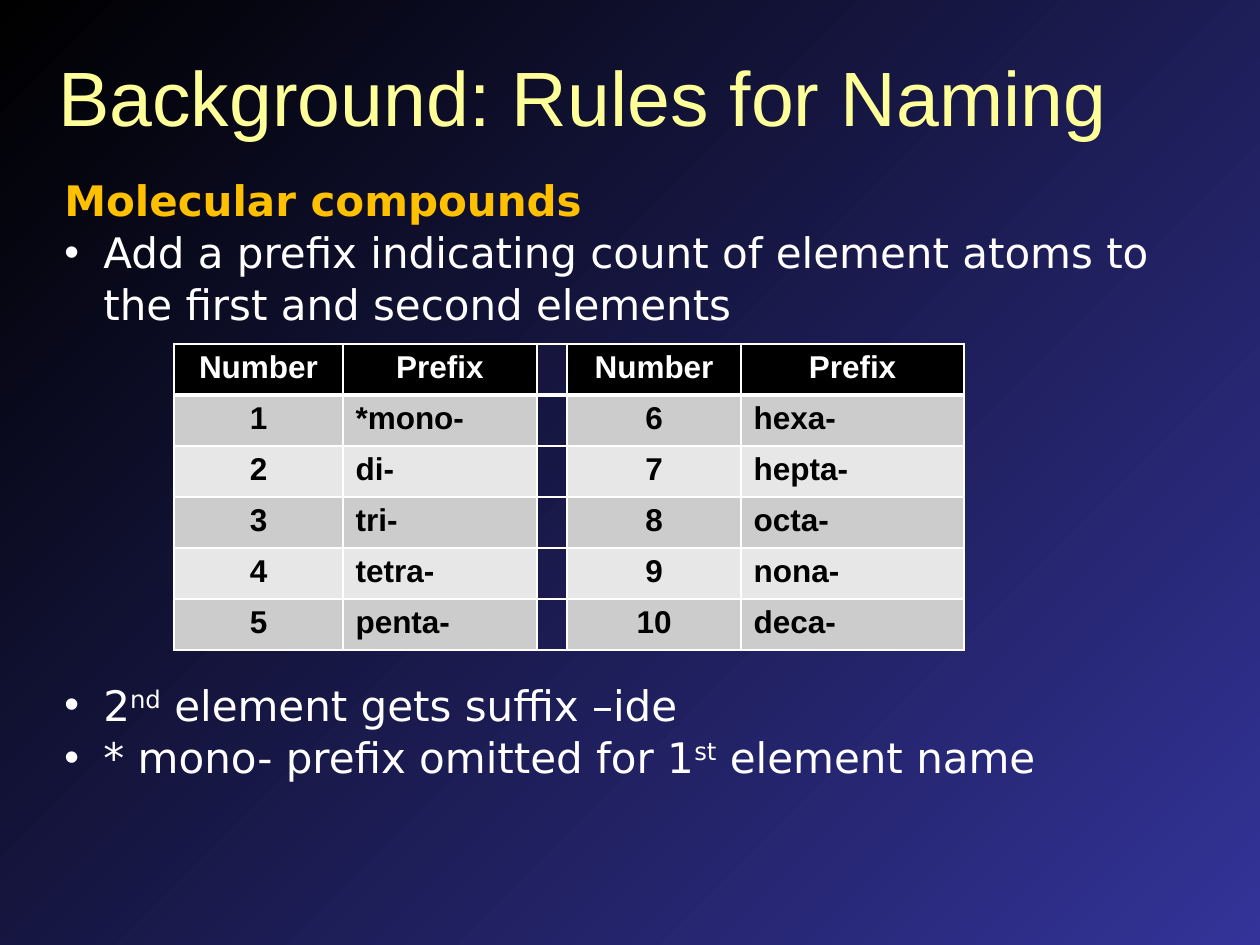
from lxml.etree import SubElement
from pptx import Presentation
from pptx.dml.color import RGBColor
from pptx.enum.text import MSO_ANCHOR, PP_ALIGN
from pptx.oxml.ns import qn
from pptx.util import Emu, Pt

PX = 914400 / 126


def px(n):
    return Emu(round(n * PX))


def write(p, text, font="DejaVu Sans", size=24, color="FFFFFF", bold=False,
          align=PP_ALIGN.LEFT, bullet=False, spacing=1.0):
    """Fill a paragraph; text between ^ marks is superscript."""
    p.alignment = align
    p.line_spacing = spacing
    if bullet:
        pPr = p._p.get_or_add_pPr()
        pPr.set("marL", str(px(39)))
        pPr.set("indent", str(-px(39)))
        SubElement(pPr, qn("a:buFont"), typeface="Arial")
        SubElement(pPr, qn("a:buChar"), char="•")
    for i, part in enumerate(text.split("^")):
        r = p.add_run()
        r.text = part
        r.font.name = font
        r.font.size = Pt(size)
        r.font.bold = bold
        r.font.color.rgb = RGBColor.from_string(color)
        if i % 2:
            r._r.get_or_add_rPr().set("baseline", "30000")


prs = Presentation()
prs.slide_width, prs.slide_height = px(1260), px(945)
s = prs.slides.add_slide(prs.slide_layouts[6])

# Background gradient, top left to bottom right
bg = s.background.fill
bg.gradient()
bg.gradient_angle = 315
for stop, color in zip(bg.gradient_stops, ("000000", "333399")):
    stop.color.rgb = RGBColor.from_string(color)

# Title and the text above and below the table
body = dict(bullet=True, spacing=1.04)
boxes = [
    (46, 43, 106, [("Background: Rules for Naming",
                    dict(font="Arial", size=44, color="FFFF99"))]),
    (52, 166, 165, [("Molecular compounds",
                     dict(color="FFC000", bold=True, spacing=1.04)),
                    ("Add a prefix indicating count of element atoms to "
                     "the first and second elements", body)]),
    (52, 671, 115, [("2^nd^ element gets suffix –ide", body),
                    ("* mono- prefix omitted for 1^st^ element name", body)]),
]
for left, top, height, lines in boxes:
    tf = s.shapes.add_textbox(px(left), px(top), px(1160), px(height)).text_frame
    tf.word_wrap = True
    for i, (text, style) in enumerate(lines):
        p = tf.add_paragraph() if i else tf.paragraphs[0]
        write(p, text, **style)
    if top == 43:
        tf.vertical_anchor = MSO_ANCHOR.MIDDLE

# Prefix table: two number/prefix pairs with an unfilled gap between them
prefixes = ["*mono-", "di-", "tri-", "tetra-", "penta-",
            "hexa-", "hepta-", "octa-", "nona-", "deca-"]
rows = [["Number", "Prefix", "", "Number", "Prefix"]]
for n in range(5):
    rows.append([str(n + 1), prefixes[n], "", str(n + 6), prefixes[n + 5]])
widths = [169, 194, 29, 174, 223]

table = s.shapes.add_table(len(rows), len(widths), px(174), px(344),
                           px(sum(widths)), px(51 * len(rows))).table
table.first_row = table.horz_banding = False
for col, width in zip(table.columns, widths):
    col.width = px(width)

for i, row in enumerate(rows):
    table.rows[i].height = px(51)
    for j, text in enumerate(row):
        cell = table.cell(i, j)
        tcPr = cell._tc.get_or_add_tcPr()
        for side in "LRTB":
            thick = (i, side) in ((0, "B"), (1, "T"))
            ln = SubElement(tcPr, qn("a:ln" + side), w=str(Pt(3 if thick else 1)))
            SubElement(SubElement(ln, qn("a:solidFill")), qn("a:srgbClr"), val="FFFFFF")
        if not text:
            cell.fill.background()
            continue
        fill = "000000" if i == 0 else "CCCCCC" if i % 2 else "E7E7E7"
        cell.fill.solid()
        cell.fill.fore_color.rgb = RGBColor.from_string(fill)
        centred = i == 0 or j in (0, 3)
        write(cell.text_frame.paragraphs[0], text, font="Arial", size=18, bold=True,
              color="000000" if i else "FFFFFF",
              align=PP_ALIGN.CENTER if centred else PP_ALIGN.LEFT)

prs.save("out.pptx")
